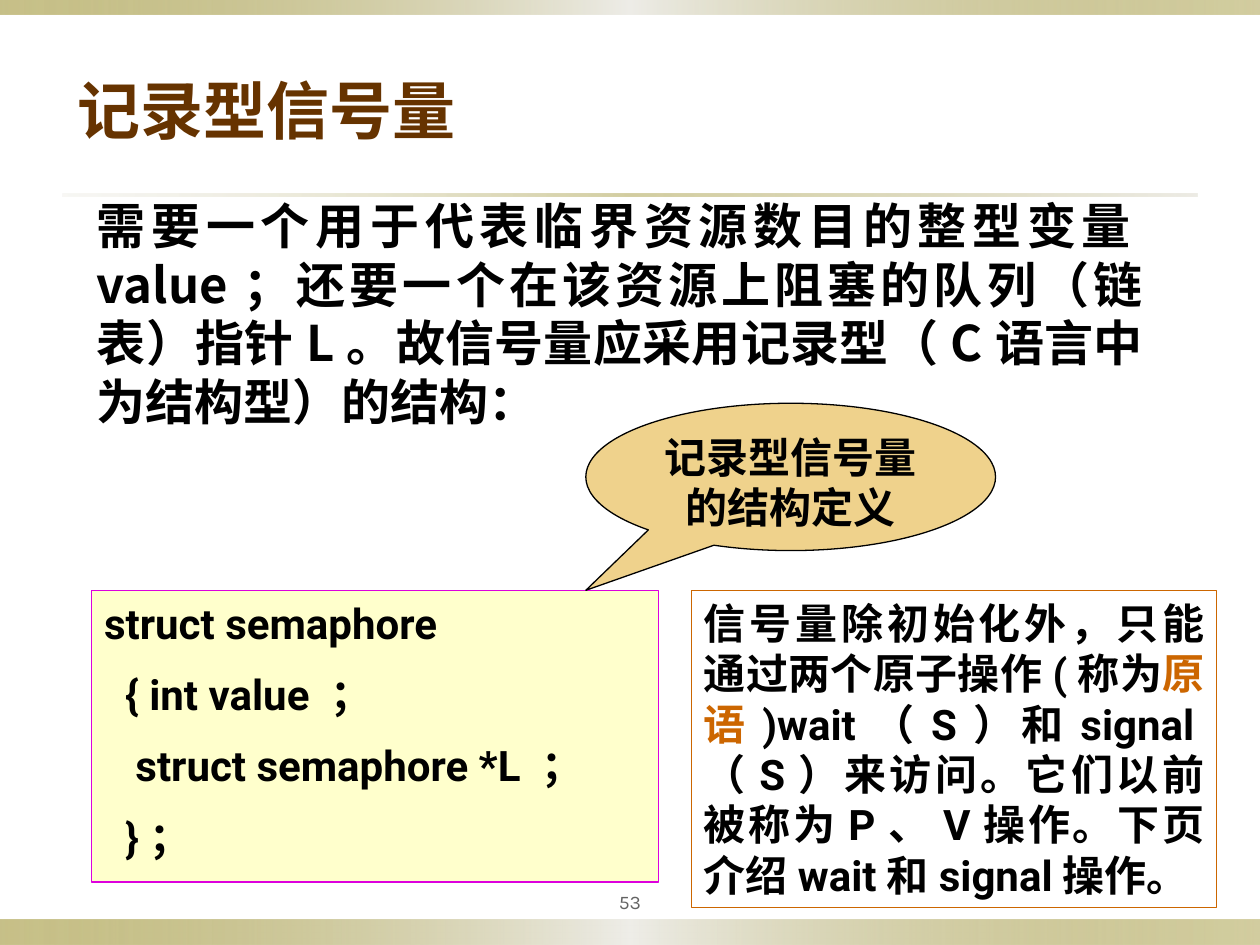
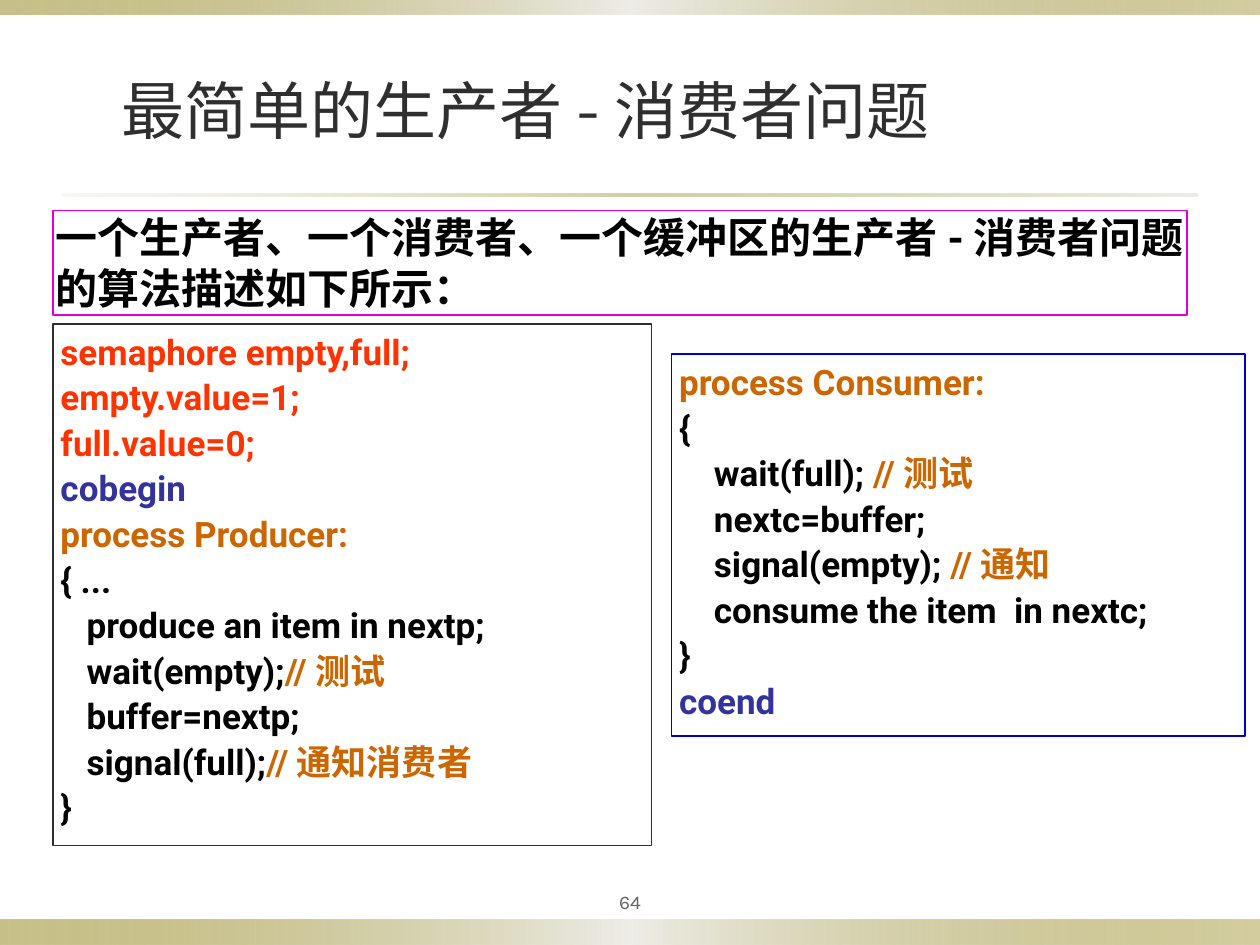
from lxml import etree
from pptx import Presentation
from pptx.dml import color as dml
from pptx.enum import shapes, text
from pptx.oxml import ns
from pptx.util import Cm, Pt

COLORS = {
    "black": "000000", "charcoal": "2F2F2F", "grey": "636363",
    "brown": "663300", "orange": "CC6600", "red": "FF3300",
    "navy": "333399", "blue": "0000CC", "magenta": "DD00DD",
    "cream": "FFFFCC", "sand": "EFD28C",
    "olive": "918415", "mist": "EEEDE8", "stone": "DCD9CC",
}
RGB = {name: dml.RGBColor.from_string(value) for name, value in COLORS.items()}
CJK_FONT = "Noto Sans CJK SC"
LINE_HEIGHT = 1.2
BAND_STOPS = [(0, "olive", 50), (50, "mist", 100), (100, "olive", 40)]
RULE_STOPS = [(0, "stone", 20), (50, "olive", 40), (100, "stone", 50)]
DECORATIONS = [
    ((0, 18.54, 25.4, 0.51), BAND_STOPS),
    ((0, 0, 25.4, 0.3), BAND_STOPS),
    ((1.27, 3.91, 22.86, 0.05), RULE_STOPS),
]
LEFT, CENTER, JUSTIFY = text.PP_ALIGN.LEFT, text.PP_ALIGN.CENTER, text.PP_ALIGN.JUSTIFY
TOP, MIDDLE = text.MSO_ANCHOR.TOP, text.MSO_ANCHOR.MIDDLE
RECTANGLE = shapes.MSO_SHAPE.RECTANGLE
CALLOUT = shapes.MSO_SHAPE.OVAL_CALLOUT


def write(shape, lines, size, font="Roboto", bold=True, align=LEFT,
          anchor=TOP, before=0, insets=(0.25, 0.13)):
    frame = shape.text_frame
    frame.word_wrap = True
    frame.auto_size = text.MSO_AUTO_SIZE.NONE
    frame.vertical_anchor = anchor
    frame.margin_left = frame.margin_right = Cm(insets[0])
    frame.margin_top = frame.margin_bottom = Cm(insets[1])
    for index, runs in enumerate(lines):
        paragraph = frame.add_paragraph() if index else frame.paragraphs[0]
        paragraph.alignment = align
        paragraph.line_spacing = Pt(size * LINE_HEIGHT)
        paragraph.space_before = Pt(before if index else 0)
        paragraph.font.size = Pt(size)
        paragraph.font.bold = bold
        paragraph.font.name = font
        paragraph.font.color.rgb = RGB[runs[0][1]]
        defaults = paragraph._p.pPr.find(ns.qn("a:defRPr"))
        etree.SubElement(defaults, ns.qn("a:ea"), typeface=CJK_FONT)
        for content, color in runs:
            run = paragraph.add_run()
            run.text = content
            if len(runs) > 1:
                run.font.color.rgb = RGB[color]


def add_box(slide, place, line=None, fill=None, kind=RECTANGLE):
    shape = slide.shapes.add_shape(kind, *map(Cm, place))
    shape.shadow.inherit = False
    if fill:
        shape.fill.solid()
        shape.fill.fore_color.rgb = RGB[fill]
    else:
        shape.fill.background()
    if line:
        shape.line.color.rgb = RGB[line]
        shape.line.width = Pt(0.75)
    else:
        shape.line.fill.background()
    return shape


presentation = Presentation()
presentation.slide_width = Cm(25.4)
presentation.slide_height = Cm(19.05)

pages = [
    ("53", "记录型信号量", (1.32, 1.32, 11.35, 1.78),
     dict(font="Times New Roman", bold=True, align=LEFT, anchor=TOP), "brown"),
    ("64", "最简单的生产者-消费者问题", (0.64, 1.24, 19.89, 1.93),
     dict(font="Karla", bold=False, align=CENTER, anchor=MIDDLE), "charcoal"),
]
slides = []
for number, heading, place, style, color in pages:
    slide = presentation.slides.add_slide(presentation.slide_layouts[5])
    slides.append(slide)
    for band_place, stops in DECORATIONS:
        band = add_box(slide, band_place)
        band.fill.gradient()
        band.fill.gradient_angle = 0
        stop_list = band._element.spPr.find(".//" + ns.qn("a:gsLst"))
        for stop in list(stop_list):
            stop_list.remove(stop)
        for position, stop_color, opacity in stops:
            stop = etree.SubElement(stop_list, ns.qn("a:gs"), pos=str(position * 1000))
            rgb = etree.SubElement(stop, ns.qn("a:srgbClr"), val=COLORS[stop_color])
            etree.SubElement(rgb, ns.qn("a:alpha"), val=str(opacity * 1000))
    title = slide.shapes.title
    title.left, title.top, title.width, title.height = map(Cm, place)
    write(title, [[(heading, color)]], 36, **style)
    page_number = slide.shapes.add_textbox(Cm(11.43), Cm(17.78), Cm(2.54), Cm(0.79))
    write(page_number, [[(number, "grey")]], 11, font="Karla", bold=False,
          align=CENTER, anchor=MIDDLE, insets=(0.13, 0.13))

record_slide, producer_slide = slides

introduction = record_slide.shapes.add_textbox(Cm(1.7), Cm(3.81), Cm(21.59), Cm(5))
write(introduction, [[(
    "需要一个用于代表临界资源数目的整型变量value；还要一个在该资源上阻塞的队列（链表）指针L。"
    "故信号量应采用记录型（C语言中为结构型）的结构：", "black")]],
    28, font=CJK_FONT, align=JUSTIFY)

struct_box = add_box(record_slide, (1.85, 11.91, 11.43, 5.87), "magenta", "cream")
struct_code = ["struct semaphore", "  { int value ；", "   struct semaphore *L ；", "  }；"]
write(struct_box, [[(line, "black")] for line in struct_code], 24, before=12)

callout = add_box(record_slide, (11.81, 8.13, 8.26, 2.97), "black", "sand", CALLOUT)
callout.adjustments[0] = -0.5
callout.adjustments[1] = 0.77
write(callout, [[("记录型信号量的结构定义", "black")]], 24,
      font="Times New Roman", align=CENTER)

access_box = add_box(record_slide, (13.94, 11.91, 10.59, 6.38), "orange")
write(access_box, [[
    ("信号量除初始化外，只能通过两个原子操作(称为", "black"),
    ("原语", "orange"),
    (")wait（S）和signal（S）来访问。它们以前被称为P、V操作。"
     "下页介绍wait和signal操作。", "black"),
]], 24, align=JUSTIFY)

summary_box = add_box(producer_slide, (1.07, 4.24, 22.86, 2.11), "magenta")
write(summary_box, [[(
    "一个生产者、一个消费者、一个缓冲区的生产者-消费者问题的算法描述如下所示：", "black")]],
    24, insets=(0.05, 0.03))

producer_code = [
    [("semaphore empty,full;", "red")],
    [("empty.value=1;", "red")],
    [("full.value=0;", "red")],
    [("cobegin", "navy")],
    [("process Producer:", "orange")],
    [("{ ...", "black")],
    [("   produce an item in nextp;", "black")],
    [("   wait(empty);", "black"), ("//测试", "orange")],
    [("   buffer=nextp;", "black")],
    [("   signal(full);", "black"), ("//通知消费者", "orange")],
    [("}", "black")],
]
consumer_code = [
    [("process Consumer:", "orange")],
    [("{", "black")],
    [("    wait(full); ", "black"), ("//测试", "orange")],
    [("    nextc=buffer;", "black")],
    [("    signal(empty); ", "black"), ("//通知", "orange")],
    [("    consume the item  in nextc;", "black")],
    [("}", "black")],
    [("coend", "navy")],
]
for code, place, line in [
    (producer_code, (1.07, 6.53, 12.07, 10.52), "charcoal"),
    (consumer_code, (13.54, 7.14, 11.56, 7.7), "blue"),
]:
    code_box = add_box(producer_slide, place, line)
    write(code_box, code, 20, before=2, insets=(0.15, 0.13))

presentation.save("out.pptx")
